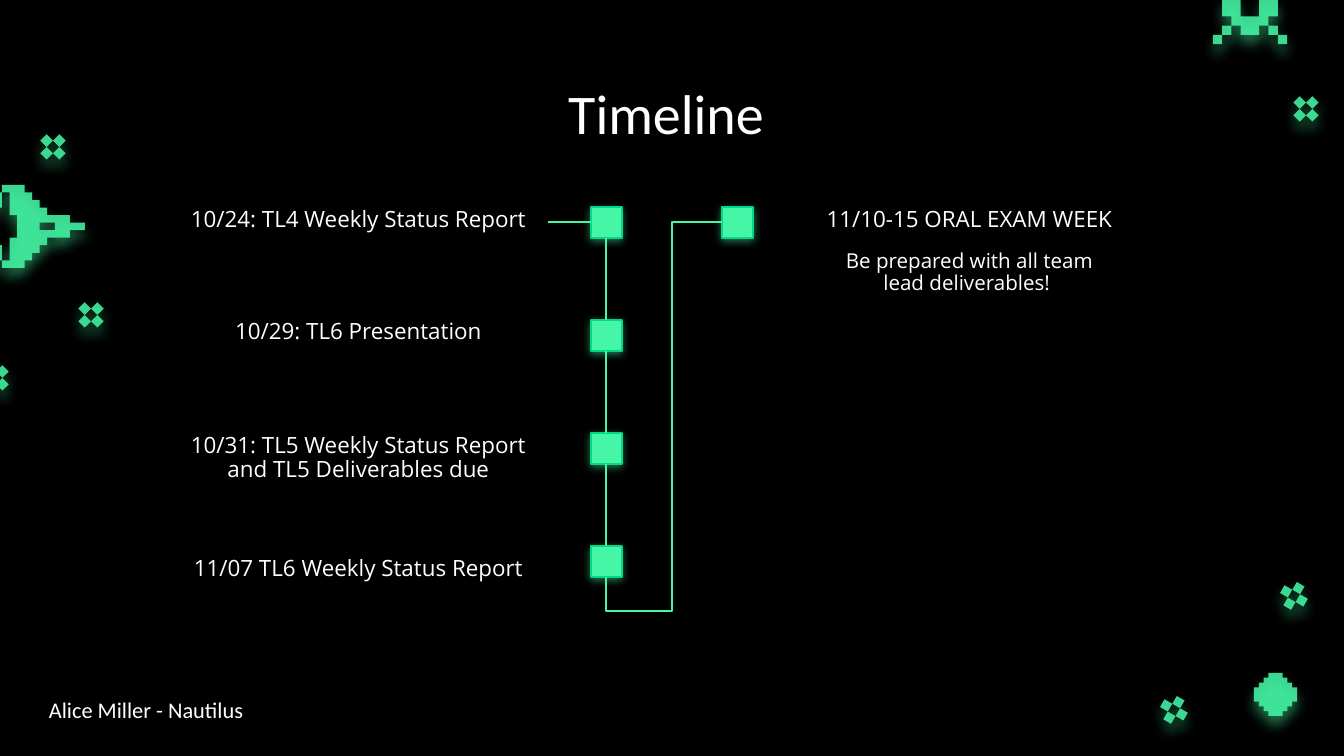
import math

from lxml import etree
from pptx import Presentation
from pptx.dml.color import RGBColor
from pptx.enum.shapes import MSO_CONNECTOR, MSO_SHAPE
from pptx.enum.text import MSO_ANCHOR, PP_ALIGN
from pptx.oxml.ns import qn
from pptx.util import Emu, Pt

RECT = MSO_SHAPE.RECTANGLE
STRAIGHT, ELBOW = MSO_CONNECTOR.STRAIGHT, MSO_CONNECTOR.ELBOW
LEFT, CENTER = PP_ALIGN.LEFT, PP_ALIGN.CENTER
TOP = MSO_ANCHOR.TOP

BLACK = RGBColor(0x00, 0x00, 0x00)
WHITE = RGBColor(0xFF, 0xFF, 0xFF)
GREEN = RGBColor(0x44, 0xF6, 0xA5)
EDGE = RGBColor(0x00, 0xD9, 0x87)

PX = 914400 / 134.4
TILE = 9
MARK, MARK_X, MARK_Y, ROW = 31, 591, 207, 113
EXAM_X = 722


def px(n):
    return Emu(round(n * PX))


def sub(parent, tag, **attrs):
    el = etree.SubElement(parent, qn(tag))
    for name, value in attrs.items():
        el.set(name, str(value))
    return el


def glow(sp, blur, dist):
    """Give a shape a soft green shadow straight below it."""
    sp.shadow.inherit = False
    effects = sp._element.spPr.find(qn("a:effectLst"))
    shadow = sub(effects, "a:outerShdw", blurRad=Pt(blur), dist=Pt(dist),
                 dir=5400000, algn="bl", rotWithShape=0)
    sub(sub(shadow, "a:srgbClr", val=GREEN), "a:alpha", val=50000)


def style_decor(sp):
    sp.fill.solid()
    sp.fill.fore_color.rgb = GREEN
    color = sp._element.spPr.find(qn("a:solidFill"))[0]
    sub(color, "a:alpha", val=87000)
    sp.line.fill.background()
    glow(sp, 6.8, 4.5)


def add_pixel_art(s, left, top, width, cols, loops):
    """Draw closed outlines given in grid cells as one shape."""
    builder = s.shapes.build_freeform(*loops[0][0], scale=width * PX / cols)
    for i, loop in enumerate(loops):
        if i:
            builder.move_to(*loop[0])
        builder.add_line_segments(loop[1:], close=True)
    style_decor(builder.convert_to_shape(px(left), px(top)))


def flip_x(points, cols):
    return [(cols - x, y) for x, y in reversed(points)]


def flip_y(points, rows):
    return [(x, rows - y) for x, y in reversed(points)]


def cell(x, y):
    return [(x, y), (x + 1, y), (x + 1, y + 1), (x, y + 1)]


def add_ship(s):
    wing = [(0, 1), (2, 1), (2, 3), (1, 3), (1, 2), (0, 2)]
    hull = [(2, 0), (5, 0), (5, 1), (6, 1), (6, 2), (7, 2), (7, 3), (8, 3),
            (8, 4), (11, 4), (11, 5), (13, 5)]
    inner = [(4, 4), (3, 4), (3, 1), (2, 1)]
    window = [(7, 5), (9, 5), (9, 6), (7, 6)]
    body = hull + flip_y(hull, 11) + flip_y(inner, 11) + inner
    add_pixel_art(s, -13, 185, 98, 13, [body, window, wing, flip_y(wing, 11)])


def add_alien(s):
    half = [(3, 4), (3, 3), (2, 3), (2, 2), (1, 2), (1, 0), (3, 0), (3, 2)]
    loops = [half + flip_x(half, 8), cell(0, 4), cell(1, 3), cell(6, 3), cell(7, 4)]
    add_pixel_art(s, 1213, -2, 74, 8, loops)


def add_ball(s):
    corner = [(0, 3), (1, 3), (1, 2), (2, 2), (2, 1), (3, 1), (3, 0)]
    upper = corner + flip_x(corner, 9)
    add_pixel_art(s, 1254, 673, 43, 9, [upper + flip_y(upper, 9)])


def add_sparkle(s, cx, cy, angle):
    """Set four tiles round a centre, leaving out any beyond the left edge."""
    for turn in range(0, 360, 90):
        a = math.radians(angle + turn)
        x, y = cx + TILE * math.cos(a), cy + TILE * math.sin(a)
        if x > -TILE:
            sp = s.shapes.add_shape(RECT, px(x - TILE / 2), px(y - TILE / 2),
                                    px(TILE), px(TILE))
            sp.rotation = angle
            style_decor(sp)


def add_text(s, text, box, size=12, font="Open Sans", align=CENTER, spacing=0.9):
    tb = s.shapes.add_textbox(*map(px, box))
    tf = tb.text_frame
    tf.word_wrap = True
    tf.vertical_anchor = TOP
    tf.margin_left = tf.margin_right = tf.margin_top = tf.margin_bottom = px(13)
    p = tf.paragraphs[0]
    p.alignment = align
    p.line_spacing = spacing
    r = p.add_run()
    r.text = text
    r.font.size = Pt(size)
    r.font.name = font
    r.font.color.rgb = WHITE


def add_mark(s, x, y):
    sp = s.shapes.add_shape(RECT, px(x), px(y), px(MARK), px(MARK))
    sp.fill.solid()
    sp.fill.fore_color.rgb = GREEN
    sp.line.color.rgb = EDGE
    sp.line.width = Pt(0.75)
    glow(sp, 4.5, 1.5)


def add_line(s, x1, y1, x2, y2, kind=STRAIGHT):
    line = s.shapes.add_connector(kind, px(x1), px(y1), px(x2), px(y2))
    line.line.color.rgb = GREEN
    line.line.width = Pt(0.75)
    sub(line._element.spPr, "a:effectLst")
    return line


def add_return_line(s, x1, y1, x2, y2, drop, run):
    """Lead down by drop, right by run, then up and right to the end point."""
    length, depth = y1 - y2, x2 - x1
    left, top = (x1 + x2 - length) / 2, (y1 + y2 - depth) / 2
    line = add_line(s, left, top, left + length, top + depth, ELBOW)
    spPr = line._element.spPr
    spPr.find(qn("a:xfrm")).set("rot", str(270 * 60000))
    geom = spPr.find(qn("a:prstGeom"))
    geom.set("prst", "bentConnector4")
    for old in list(geom):
        geom.remove(old)
    guides = sub(geom, "a:avLst")
    for name, share in (("adj1", -drop / length), ("adj2", run / depth)):
        sub(guides, "a:gd", name=name, fmla=f"val {round(share * 100000)}")


def add_timeline(s):
    mid = MARK // 2
    tops = [MARK_Y + ROW * i for i in range(4)]
    for y in tops:
        add_mark(s, MARK_X, y)
    add_mark(s, EXAM_X, MARK_Y)
    add_line(s, 548, MARK_Y + mid, MARK_X, MARK_Y + mid)
    for y, below in zip(tops, tops[1:]):
        add_line(s, MARK_X + mid, y + MARK, MARK_X + mid, below)
    add_return_line(s, MARK_X + mid, tops[-1] + MARK, EXAM_X, MARK_Y + mid, 34, 66)

    for text, y in (("10/24: TL4 Weekly Status Report", 196),
                    ("10/29: TL6 Presentation", 308),
                    ("10/31: TL5 Weekly Status Report and TL5 Deliverables due", 421),
                    ("11/07 TL6 Weekly Status Report", 545)):
        add_text(s, text, (169, y, 379, 55))
    add_text(s, "11/10-15 ORAL EXAM WEEK", (780, 196, 379, 55))
    add_text(s, "Be prepared with all team lead deliverables! ",
             (815, 238, 309, 85), size=11)


def main():
    prs = Presentation()
    prs.slide_width, prs.slide_height = px(1344), px(756)
    s = prs.slides.add_slide(prs.slide_layouts[6])
    s.background.fill.solid()
    s.background.fill.fore_color.rgb = BLACK

    add_ship(s)
    add_alien(s)
    add_ball(s)
    for cx, cy, angle in ((53, 147, 45), (91, 315, 45), (-4, 378, 45),
                          (1306, 109, 45), (1174, 710, 30), (1294, 596, 30)):
        add_sparkle(s, cx, cy, angle)

    add_text(s, "Timeline ", (106, 66, 1133, 85), 30, "Calibri", spacing=1.0)
    add_timeline(s)
    add_text(s, "Alice Miller - Nautilus", (36, 683, 441, 54), 12, "Calibri",
             LEFT, 1.0)
    prs.save("out.pptx")


if __name__ == "__main__":
    main()
